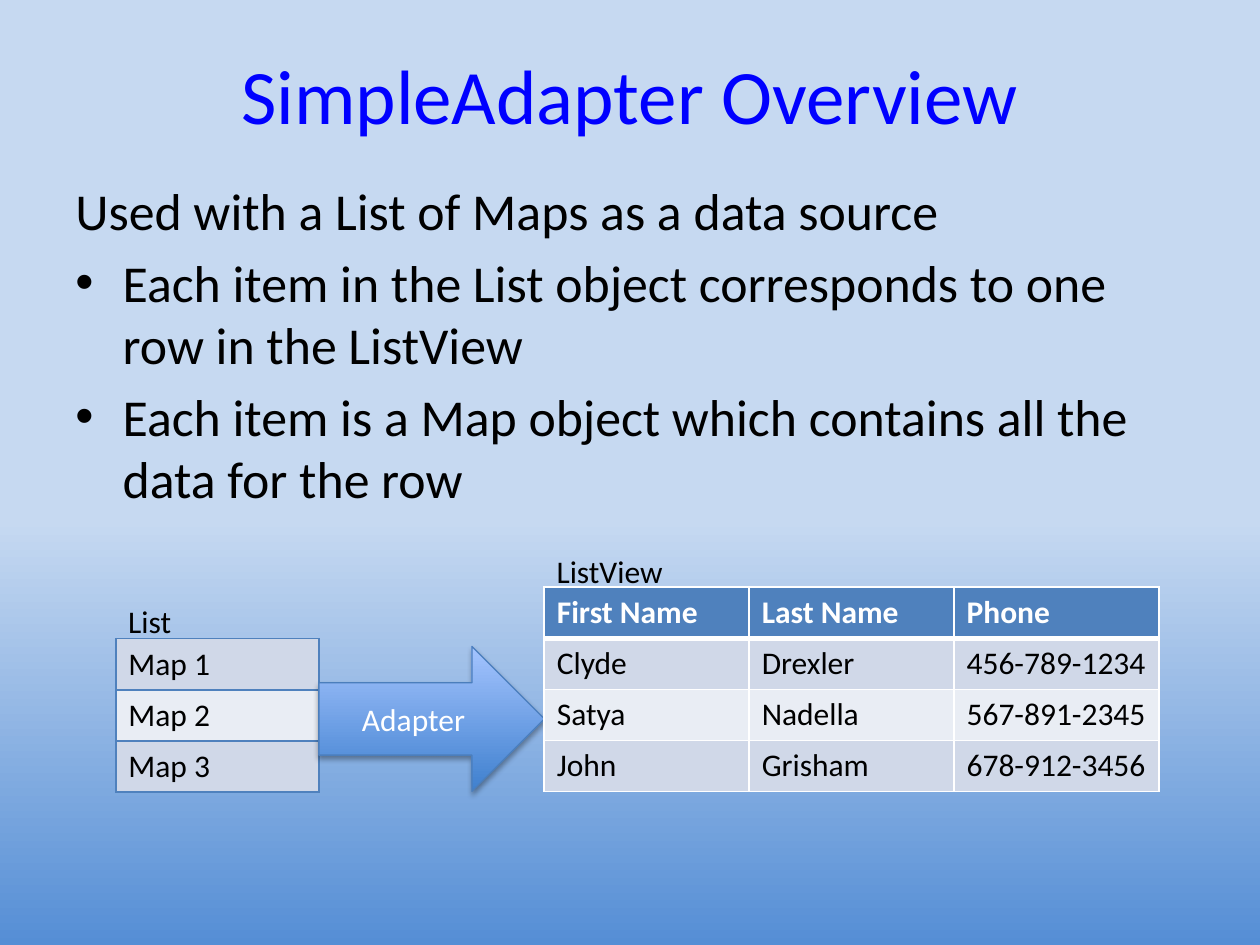
from lxml import etree
from pptx import Presentation
from pptx.dml.color import RGBColor
from pptx.enum.shapes import MSO_SHAPE
from pptx.enum.text import MSO_ANCHOR, PP_ALIGN
from pptx.oxml.ns import qn
from pptx.util import Pt

ARROW = MSO_SHAPE.RIGHT_ARROW
LEFT, CENTER = PP_ALIGN.LEFT, PP_ALIGN.CENTER
TOP, MIDDLE = MSO_ANCHOR.TOP, MSO_ANCHOR.MIDDLE

BLACK = RGBColor(0, 0, 0)
WHITE = RGBColor(255, 255, 255)
BLUE = RGBColor(0, 0, 255)
HEAD = RGBColor(0x4F, 0x81, 0xBD)
BANDS = RGBColor(0xD0, 0xD8, 0xE8), RGBColor(0xE9, 0xED, 0xF4)
EDGE = RGBColor(0x4B, 0x7E, 0xBC)
SKY = RGBColor(0xC6, 0xD9, 0xF1)
SEA = RGBColor(0x55, 0x8E, 0xD5)
DEEP = RGBColor(0x3F, 0x80, 0xCE)
PALE = RGBColor(0xA4, 0xC4, 0xFF)

ROW = 29.2
PEOPLE = [
    ["First Name", "Last Name", "Phone"],
    ["Clyde", "Drexler", "456-789-1234"],
    ["Satya", "Nadella", "567-891-2345"],
    ["John", "Grisham", "678-912-3456"],
]
MAPS = [["Map 1"], ["Map 2"], ["Map 3"]]
POINTS = [
    "Used with a List of Maps as a data source",
    "Each item in the List object corresponds to one row in the ListView",
    "Each item is a Map object which contains all the data for the row",
]


class Deck:
    """Holds the text style and the current slide, and adds elements to it."""

    font = "Calibri"
    size = 18

    def __init__(self, wide, high):
        self.show = Presentation()
        self.show.slide_width, self.show.slide_height = Pt(wide), Pt(high)
        self.slide = self.show.slides.add_slide(self.show.slide_layouts[6])

    def style(self, para, size=size, color=BLACK, bold=False, align=LEFT):
        para.alignment = align
        for run in para.runs:
            run.font.name = self.font
            run.font.size = Pt(size)
            run.font.bold = bold
            run.font.color.rgb = color

    def blend(self, fill, angle, *stops):
        fill.gradient()
        fill.gradient_angle = angle
        for stop, (place, color) in zip(fill.gradient_stops, stops):
            stop.position = place
            stop.color.rgb = color

    def text(self, box, words, anchor=TOP, **look):
        shape = self.slide.shapes.add_textbox(*map(Pt, box))
        frame = shape.text_frame
        frame.word_wrap = True
        frame.vertical_anchor = anchor
        frame.text = words
        for para in frame.paragraphs:
            self.style(para, **look)
        return frame

    def bullets(self, box, lines, size):
        frame = self.text(box, "\n".join(lines), size=size)
        for para in frame.paragraphs[1:]:
            para.space_before = Pt(5.5)
            props = para._p.get_or_add_pPr()
            props.set("marL", str(Pt(27)))
            props.set("indent", str(Pt(-27)))
            etree.SubElement(props, qn("a:buFont"), typeface="Arial")
            etree.SubElement(props, qn("a:buChar"), char="•")

    def arrow(self, box, words):
        shape = self.slide.shapes.add_shape(ARROW, *map(Pt, box))
        self.blend(shape.fill, 90, (0, DEEP), (1, PALE))
        shape.line.color.rgb = EDGE
        shape.line.width = Pt(0.75)
        shape.shadow.inherit = False
        glow = etree.SubElement(
            shape._element.spPr.find(qn("a:effectLst")), qn("a:outerShdw"),
            blurRad=str(Pt(3.1)), dist=str(Pt(1.8)), dir="5400000", rotWithShape="0")
        tint = etree.SubElement(glow, qn("a:srgbClr"), val=str(BLACK))
        etree.SubElement(tint, qn("a:alpha"), val="35000")
        shape.text_frame.vertical_anchor = MIDDLE
        shape.text_frame.text = words
        self.style(shape.text_frame.paragraphs[0], color=WHITE, align=CENTER)

    def border(self, cell, color, widths):
        props = cell._tc.get_or_add_tcPr()
        for spot, (side, width) in enumerate(zip("LRTB", widths)):
            line = etree.Element(qn("a:ln" + side), w=str(Pt(width)))
            fill = etree.SubElement(line, qn("a:solidFill"))
            etree.SubElement(fill, qn("a:srgbClr"), val=str(color))
            props.insert(spot, line)

    def table(self, left, top, wide, rows, edge, header=False):
        count = len(rows[0])
        grid = self.slide.shapes.add_table(
            len(rows), count, Pt(left), Pt(top),
            Pt(wide * count), Pt(ROW * len(rows))).table
        grid.first_row = header
        for col in grid.columns:
            col.width = Pt(wide)
        for i, row in enumerate(rows):
            grid.rows[i].height = Pt(ROW)
            head = header and i == 0
            above = 3 if header and i == 1 else 1
            for j, words in enumerate(row):
                cell = grid.cell(i, j)
                cell.text_frame.text = words
                self.style(cell.text_frame.paragraphs[0],
                           color=WHITE if head else BLACK, bold=head)
                cell.fill.solid()
                cell.fill.fore_color.rgb = HEAD if head else BANDS[(i - header) % 2]
                self.border(cell, edge, (1, 1, above, 3 if head else 1))


def main():
    deck = Deck(720, 540)
    deck.blend(deck.slide.background.fill, 270, (0.55, SKY), (1, SEA))
    deck.text((36, 21.6, 648, 64), "SimpleAdapter Overview", MIDDLE,
              size=44, color=BLUE, align=CENTER)
    deck.bullets((36, 98.6, 648, 200), POINTS, 29.6)
    deck.table(66.2, 365, 116, MAPS, HEAD)
    deck.arrow((182.2, 369.4, 128.9, 82.8), "Adapter")
    deck.table(311, 335.5, 117.1, PEOPLE, WHITE, header=True)
    deck.text((311, 311.8, 93.6, 29), "ListView")
    deck.text((66.2, 340.6, 93.6, 29), "List")
    deck.show.save("out.pptx")


if __name__ == "__main__":
    main()
